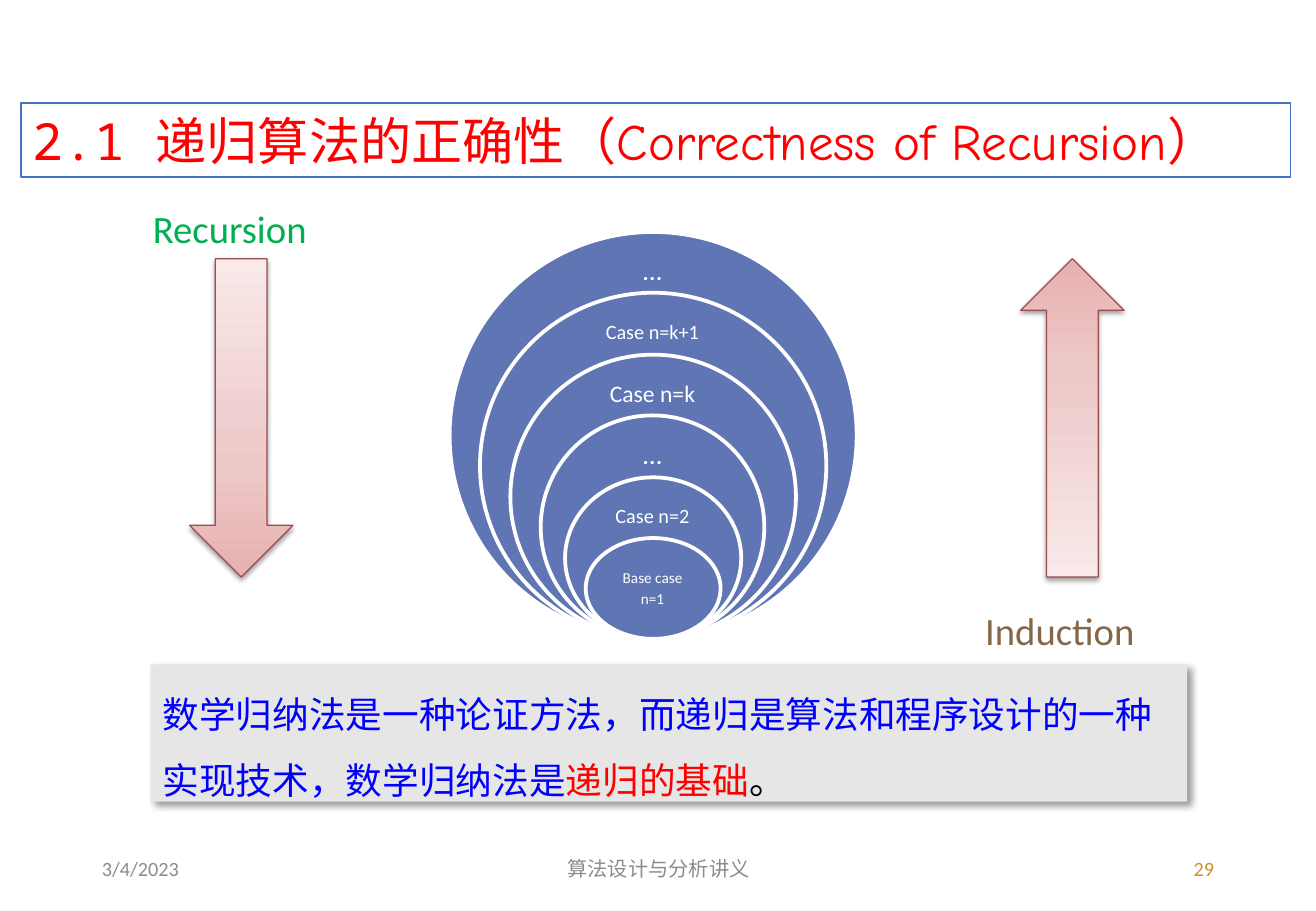
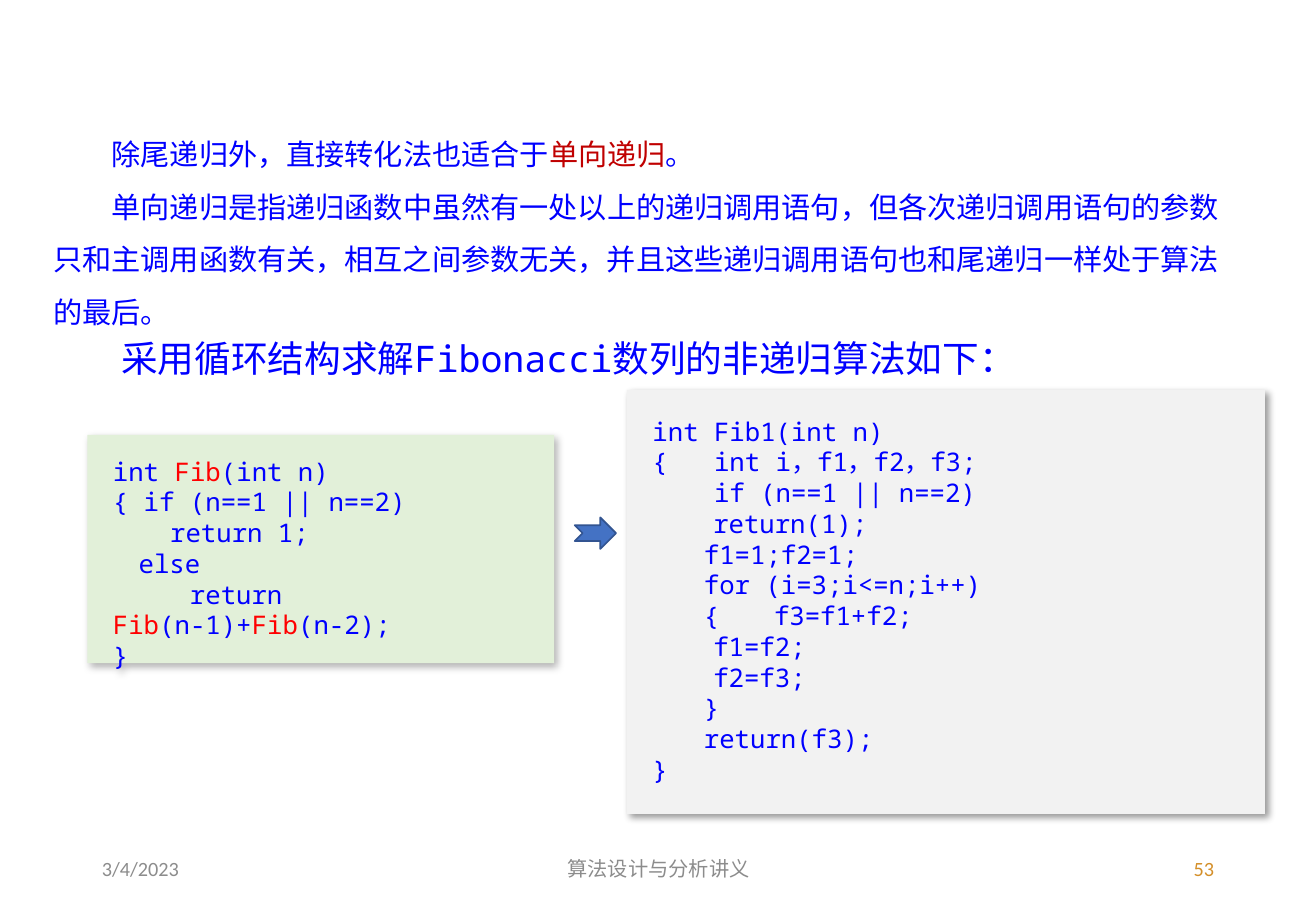
from pptx import Presentation
from pptx.dml.color import RGBColor as Rgb
from pptx.enum.shapes import MSO_SHAPE as Kind
from pptx.enum.text import MSO_ANCHOR as Anchor, PP_ALIGN as Align
from pptx.oxml.ns import qn
from pptx.util import Pt
from lxml.etree import SubElement as Sub

PX = 9144
SANS, MONO, HAND = "Calibri", "Noto Sans Mono", "Comic Neue"
WHITE = Rgb(0xFF, 0xFF, 0xFF)
BLACK = Rgb(0, 0, 0)
RED = Rgb(0xFF, 0, 0)
DARK_RED = Rgb(0xC0, 0, 0)
BLUE = Rgb(0, 0, 0xFF)
GREEN = Rgb(0, 0xB0, 0x50)
BROWN = Rgb(0x84, 0x66, 0x48)
GRAY = Rgb(0x8C, 0x8C, 0x8C)
GOLD = Rgb(0xD4, 0x8F, 0x29)
RING = Rgb(0x60, 0x76, 0xB4)
EDGE = Rgb(0x44, 0x72, 0xC4)
DEEP = Rgb(0x32, 0x54, 0x91)
ROSE = Rgb(0x9A, 0x4E, 0x4E)
PANEL = Rgb(0xE7, 0xE6, 0xE6)
PALE = Rgb(0xF2, 0xF2, 0xF2)
MINT = Rgb(0xE2, 0xF0, 0xD9)
FADE = ((0, "E8B0B0"), (35, "EDC8C8"), (100, "F9E9E9"))
SOFT = (40, 4, 3, 45)

RINGS = (("…", 16, 335), ("Case n=k+1", 12, 285), ("Case n=k", 14, 235),
         ("…", 16, 184), ("Case n=2", 12, 145), ("Base case\nn=1", 9, 111))
LOOP = """int Fib1(int n)
{   int i，f1，f2，f3;
    if (n==1 || n==2)
\treturn(1);
　　f1=1;f2=1;
　　for (i=3;i<=n;i++)
　　{\tf3=f1+f2;
\tf1=f2;
\tf2=f3;
　　}
　　return(f3);
}"""
CALLS = """int Fib(int n)
{ if (n==1 || n==2)
　　 return 1;
　else
     return Fib(n-1)+Fib(n-2);
}"""


def scale(box):
    """Turn a box in px into EMU."""
    return [n * PX for n in box]


def style(run, size, face, color):
    """Set the font of one run."""
    font = run.font
    font.size, font.name, font.color.rgb = Pt(size), face, color


def write(shape, rows, size, face=SANS, align=Align.LEFT, anchor=Anchor.TOP,
          pad=(10, 5, 10, 5), wrap=True, gap=None):
    """Fill a shape with rows of (text, color[, face]) parts."""
    frame = shape.text_frame
    frame.word_wrap, frame.vertical_anchor = wrap, anchor
    (frame.margin_left, frame.margin_top,
     frame.margin_right, frame.margin_bottom) = scale(pad)
    frame.text = "\n".join("" for _ in rows)
    for para, row in zip(frame.paragraphs, rows):
        para.alignment, para.line_spacing = align, gap
        for text, color, *other in row:
            run = para.add_run()
            run.text = text
            style(run, size, other[0] if other else face, color)
    return frame


def label(slide, box, text, size, color, **look):
    """Add plain text in one color, a paragraph for each line."""
    rows = [[(line, color)] for line in text.split("\n")]
    return write(slide.shapes.add_textbox(*scale(box)), rows, size, **look)


def draw(slide, kind, box, fill=None, line=None, width=1, shade=None):
    """Add a preset shape with its fill, line and shadow."""
    shape = slide.shapes.add_shape(kind, *scale(box))
    shape.shadow.inherit = False
    if fill is not None:
        shape.fill.solid()
        shape.fill.fore_color.rgb = fill
    if line is None:
        shape.line.fill.background()
    else:
        shape.line.color.rgb, shape.line.width = line, Pt(width)
    if shade:
        alpha, blur, dist, turn = shade
        glow = Sub(shape.element.spPr.find(qn("a:effectLst")), qn("a:outerShdw"),
                   blurRad=str(Pt(blur)), dist=str(Pt(dist)),
                   dir=str(turn * 60000), algn="tl", rotWithShape="0")
        tint = Sub(glow, qn("a:srgbClr"), val="000000")
        Sub(tint, qn("a:alpha"), val=str(alpha * 1000))
    return shape


def arrow(slide, kind, box, turn):
    """Add a block arrow that fades towards its tail."""
    shape = draw(slide, kind, box, None, ROSE, 0.75, (38, 3.1, 1.6, 90))
    shape.fill.gradient()
    shape.fill.gradient_angle = turn
    stops = next(shape.element.iter(qn("a:gsLst")))
    stops.clear()
    for spot, shade in FADE:
        stop = Sub(stops, qn("a:gs"), pos=str(spot * 1000))
        Sub(stop, qn("a:srgbClr"), val=shade)


def rings(slide, left, top, side):
    """Nest ellipses that share their lowest point."""
    mid = left + side // 2
    for i, (text, size, wide) in enumerate(RINGS):
        drop = round(50.4 * i)
        draw(slide, Kind.OVAL, (mid - wide // 2, top + drop, wide, side - drop),
             RING, WHITE, 2.25)
        down = 42 if "\n" in text else 33
        frame = label(slide, (mid - 45, top + drop + down - 15, 90, 30), text,
                      size, WHITE, align=Align.CENTER, anchor=Anchor.MIDDLE,
                      pad=(0, 0, 0, 0), gap=0.9)
        for para in frame.paragraphs:
            para.space_after = Pt(size * 0.35)


def code(slide, box, text, fill, pad, shade, mark=None):
    """Add a code panel, with one word marked in red."""
    rows = []
    for line in text.split("\n"):
        bits = line.split(mark) if mark else [line]
        row = [(bits[0], BLUE)]
        for bit in bits[1:]:
            row += [(mark, RED), (bit, BLUE)]
        rows.append([part for part in row if part[0]])
    frame = write(draw(slide, Kind.RECTANGLE, box, fill, shade=shade), rows,
                  15.2, MONO, pad=pad)
    for para in frame.paragraphs:
        tabs = Sub(para._p.get_or_add_pPr(), qn("a:tabLst"))
        for stop in (50, 100):
            Sub(tabs, qn("a:tab"), pos=str(stop * PX), algn="l")


def foot(slide, page):
    """Add the date, the course name and the page number."""
    parts = ((74, 244, "3/4/2023", GRAY, Align.LEFT),
             (359, 366, "算法设计与分析讲义", GRAY, Align.CENTER),
             (765, 244, page, GOLD, Align.RIGHT))
    for left, wide, text, color, align in parts:
        label(slide, (left, 695, wide, 40), text, 12, color,
              align=align, anchor=Anchor.MIDDLE)


def proof(slide):
    """Build the slide on recursion and induction."""
    title = draw(slide, Kind.RECTANGLE, (17, 85, 1045, 61), WHITE, EDGE)
    write(title, [[("2.1 递归算法的正确性（", RED),
                   ("Correctness of Recursion）", RED, HAND)]], 30.3, MONO)
    rings(slide, 370, 191, 335)
    arrow(slide, Kind.DOWN_ARROW, (156, 213, 85, 262), 90)
    arrow(slide, Kind.UP_ARROW, (840, 213, 85, 262), 270)
    label(slide, (116, 164, 148, 49), "Recursion", 22.9, GREEN, wrap=False)
    label(slide, (801, 495, 144, 49), "Induction", 22.9, BROWN, wrap=False)
    note = draw(slide, Kind.RECTANGLE, (124, 547, 853, 113), PANEL, shade=SOFT)
    write(note, [[("数学归纳法是一种论证方法，而递归是算法和程序设计的一种"
                   "实现技术，数学归纳法是", BLUE),
                  ("递归的基础", RED), ("。", BLACK)]], 21.7, MONO, gap=1.5)
    foot(slide, "29")


def loop(slide):
    """Build the slide that turns recursion into a loop."""
    rows = [[("除尾递归外，直接转化法也适合于", BLUE),
             ("单向递归", DARK_RED), ("。", BLUE)],
            [("单向递归是指递归函数中虽然有一处以上的递归调用语句，但各次递归调用"
              "语句的参数只和主调用函数有关，相互之间参数无关，并且这些递归调用"
              "语句也和尾递归一样处于算法的最后。", BLUE)]]
    frame = write(slide.shapes.add_textbox(*scale((34, 93, 998, 180))), rows,
                  17.3, gap=1.5)
    for para in frame.paragraphs:
        para._p.get_or_add_pPr().set("indent", str(48 * PX))
    label(slide, (90, 272, 964, 47), "采用循环结构求解Fibonacci数列的非递归算法如下：",
          21.7, BLUE, face=MONO)
    code(slide, (516, 321, 525, 349), LOOP, PALE, (21, 21, 10, 21), SOFT)
    code(slide, (72, 358, 384, 188), CALLS, MINT, (21, 17, 10, 17),
         (30, 4.5, 2.6, 53), "Fib")
    draw(slide, Kind.NOTCHED_RIGHT_ARROW, (473, 426, 34, 26), EDGE, DEEP)
    foot(slide, "53")


def main():
    """Make the deck and save it."""
    deck = Presentation()
    deck.slide_width, deck.slide_height = scale((1083, 750))
    for build in (proof, loop):
        build(deck.slides.add_slide(deck.slide_layouts[6]))
    deck.save("out.pptx")


if __name__ == "__main__":
    main()
